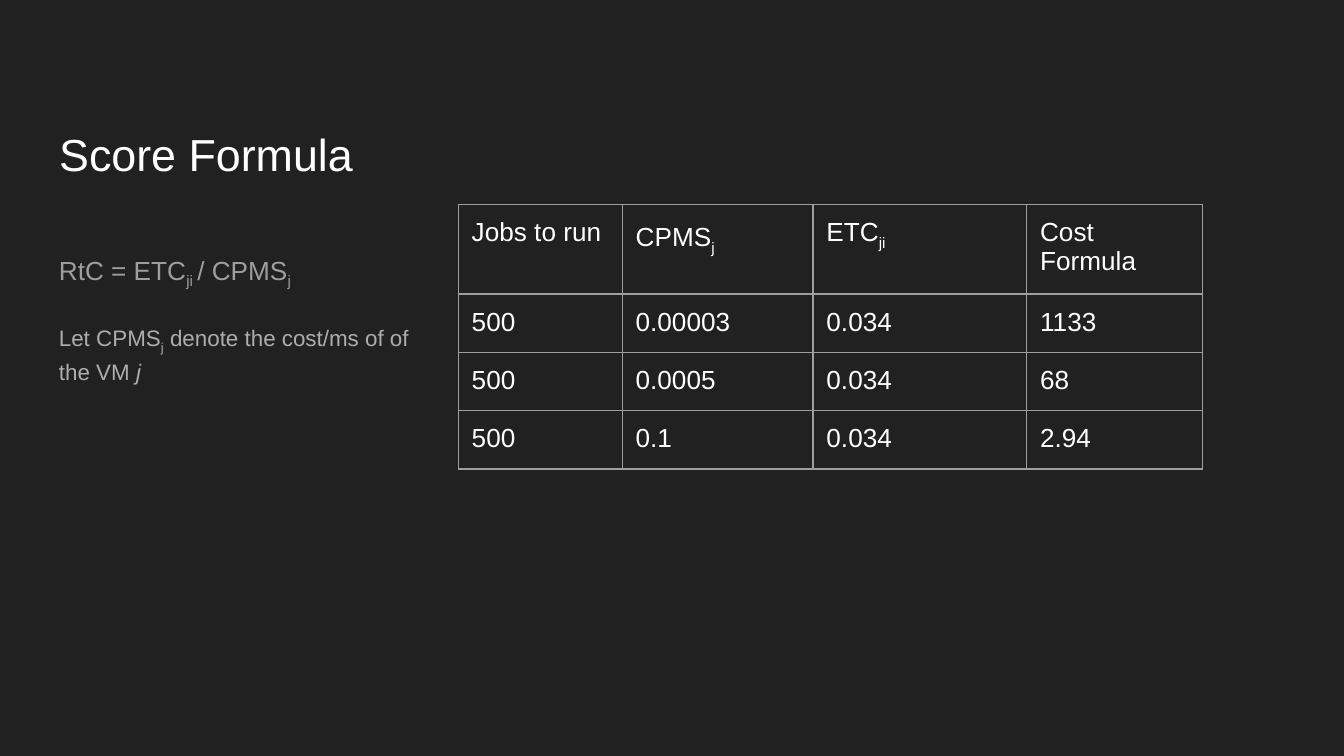
from pptx import Presentation
from pptx.dml.color import RGBColor
from pptx.enum.text import MSO_ANCHOR as Anchor, MSO_AUTO_SIZE as AutoSize, PP_ALIGN as Align
from pptx.oxml import parse_xml
from pptx.oxml.ns import nsdecls
from pptx.util import Inches, Pt

TITLE = "Score Formula"
FORMULA = [("RtC = ETC", ""), ("ji ", "sub"), ("/ CPMS", ""), ("j", "sub")]
EXPLANATION = [("Let CPMS", ""), ("j", "sub"),
               (" denote the cost/ms of of the VM ", ""), ("j", "italic")]
HEADERS = [[("Jobs to run", "")], [("CPMS", ""), ("j", "sub")],
           [("ETC", ""), ("ji", "sub")], [("Cost Formula", "")]]
RESULTS = [("500", "0.00003", "0.034", "1133"),
           ("500", "0.0005", "0.034", "68"),
           ("500", "0.1", "0.034", "2.94")]
COLUMN_WIDTHS = [1.22, 1.42, 1.59, 1.31]
ROW_HEIGHTS = [0.63, 0.42, 0.42, 0.42]
BACKGROUND, WHITE, GREY, LIGHT_GREY = "212121", "FFFFFF", "9E9E9E", "ADADAD"
SLIDE_WIDTH = 10
LEFT, TEXT_WIDTH, MARGIN = 0.34, 3.07, 0.1


def color(value):
    return RGBColor.from_string(value)


def write(paragraph, runs, size, shade):
    paragraph.alignment = Align.LEFT
    for text, style in runs:
        run = paragraph.add_run()
        run.text = text
        font = run.font
        font.name, font.size = "Arial", Pt(size)
        font.color.rgb = color(shade)
        if style == "italic":
            font.italic = True
        if style == "sub":
            font._element.set("baseline", "-25000")


def set_margins(holder):
    for side in ("left", "top", "right", "bottom"):
        setattr(holder, f"margin_{side}", Inches(MARGIN))


def set_borders(cell):
    properties = cell._tc.get_or_add_tcPr()
    for index, side in enumerate(("lnL", "lnR", "lnT", "lnB")):
        properties.insert(index, parse_xml(
            f'<a:{side} {nsdecls("a")} w="{Pt(0.75)}"><a:solidFill>'
            f'<a:srgbClr val="{GREY}"/></a:solidFill></a:{side}>'))


prs = Presentation()
prs.slide_width, prs.slide_height = Inches(SLIDE_WIDTH), Inches(SLIDE_WIDTH * 9 / 16)
slide = prs.slides.add_slide(prs.slide_layouts[5])
slide.background.fill.solid()
slide.background.fill.fore_color.rgb = color(BACKGROUND)

title = slide.shapes.title
title.left, title.top = Inches(LEFT), Inches(0.61)
title.width, title.height = Inches(TEXT_WIDTH), Inches(0.83)
heading = title.text_frame
heading.auto_size = AutoSize.NONE
heading.vertical_anchor = Anchor.BOTTOM
set_margins(heading)
write(heading.paragraphs[0], [(TITLE, "")], 24, WHITE)

body = slide.shapes.add_textbox(Inches(LEFT), Inches(1.75),
                                Inches(TEXT_WIDTH), Inches(3.25)).text_frame
body.word_wrap = True
set_margins(body)
formula, explanation = body.paragraphs[0], body.add_paragraph()
formula.line_spacing = explanation.line_spacing = 1.15
explanation.space_before = Pt(16)
write(formula, FORMULA, 14, GREY)
write(explanation, EXPLANATION, 12, LIGHT_GREY)

rows = [HEADERS] + [[[(value, "")] for value in result] for result in RESULTS]
table = slide.shapes.add_table(len(rows), len(HEADERS), Inches(3.41), Inches(1.52),
                               Inches(sum(COLUMN_WIDTHS)), Inches(sum(ROW_HEIGHTS))).table
table.first_row = table.horz_banding = False
for column, width in zip(table.columns, COLUMN_WIDTHS):
    column.width = Inches(width)
for row, height, contents in zip(table.rows, ROW_HEIGHTS, rows):
    row.height = Inches(height)
    for cell, runs in zip(row.cells, contents):
        cell.fill.background()
        set_margins(cell)
        set_borders(cell)
        write(cell.text_frame.paragraphs[0], runs, 14, WHITE)

cost_rate = table.cell(0, 1).text_frame.paragraphs[0]
cost_rate.line_spacing = 1.15
cost_rate.space_after = Pt(16)

prs.save("out.pptx")
